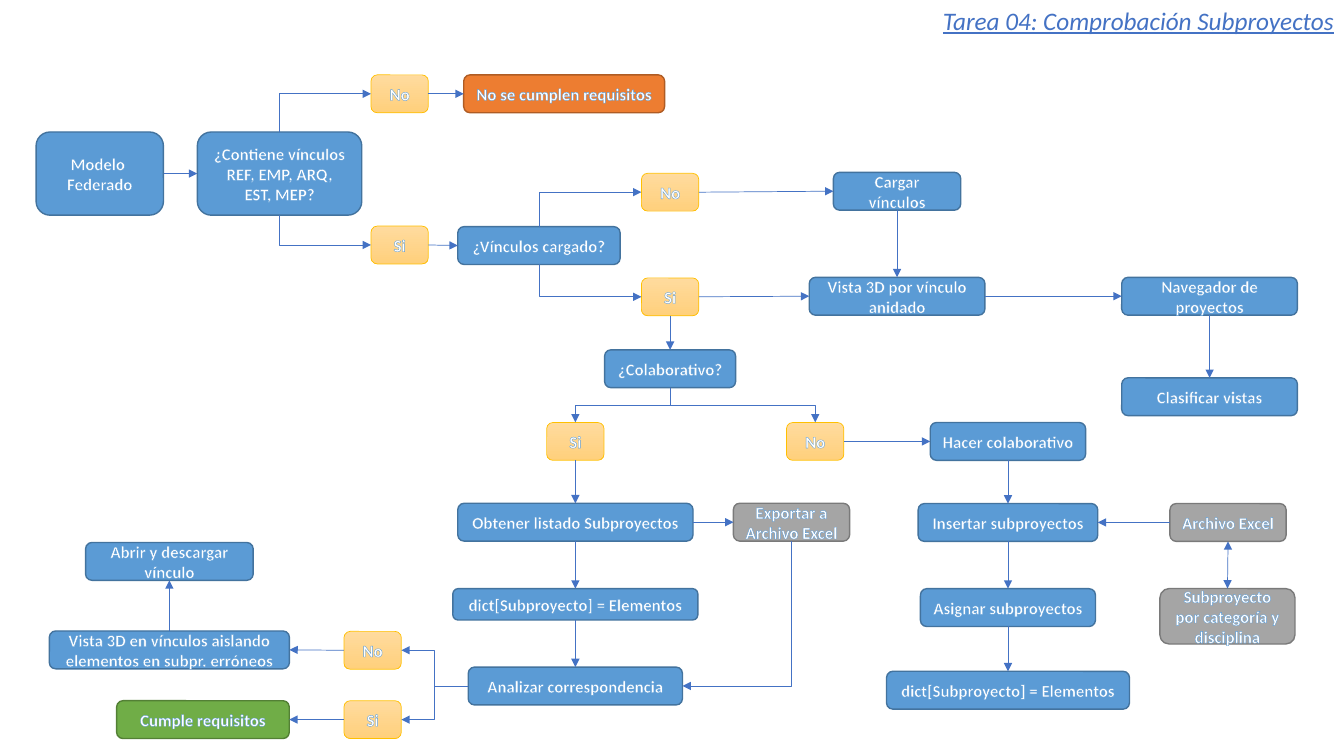
import pptx
import pptx.util
import pptx.dml.color
import pptx.enum.shapes
import pptx.enum.text
import pptx.oxml
import pptx.oxml.ns
import lxml.etree

Pt = pptx.util.Pt
qn = pptx.oxml.ns.qn

TITLE = "Tarea 04: Comprobación Subproyectos"
FONT = "Calibri"
ACCENT = "4472C4"
OUTLINE = "5B9BD5"
HEIGHT = 27
TOP, LEFT, BOTTOM, RIGHT = range(4)

STYLES = {
    "step": (["5B9BD5"], "43739E", 1),
    "answer": (["FFDB9E", "FFD07C"], "FFC000", 0.5),
    "file": (["A5A5A5"], "7A7A7A", 1),
    "fail": (["ED7D31"], "AF5C24", 1),
    "pass": (["70AD47"], "538035", 1),
}

# name: text, style, centre x, centre y, width, height
NODES = {
    "model": ("Modelo \nFederado", "step", 71.3, 124, 91, 59.4),
    "links": ("¿Contiene vínculos\nREF, EMP, ARQ, EST, MEP?", "step", 199.7, 124, 117.5, 59.4),
    "links no": ("No", "answer", 285.5, 67, 41, HEIGHT),
    "links yes": ("Si", "answer", 285.5, 175, 41, HEIGHT),
    "rejected": ("No se cumplen requisitos", "fail", 403, 67, 143.5, HEIGHT),
    "loaded": ("¿Vínculos cargado?", "step", 385, 175.4, 116, HEIGHT),
    "loaded no": ("No", "answer", 478.7, 137.3, 41, HEIGHT),
    "loaded yes": ("Si", "answer", 478.7, 212, 41, HEIGHT),
    "load": ("Cargar vínculos", "step", 640.8, 136.6, 91, HEIGHT),
    "view": ("Vista 3D por vínculo anidado", "step", 640.8, 211.6, 125.5, HEIGHT),
    "browser": ("Navegador de proyectos", "step", 864, 211.6, 125.5, HEIGHT),
    "sort": ("Clasificar vistas", "step", 864, 283.4, 125.5, HEIGHT),
    "shared": ("¿Colaborativo?", "step", 478.7, 263.4, 93.6, HEIGHT),
    "shared yes": ("Si", "answer", 411, 315.3, 41, HEIGHT),
    "shared no": ("No", "answer", 582.3, 315.3, 41, HEIGHT),
    "share": ("Hacer colaborativo", "step", 720, 315.3, 111, HEIGHT),
    "insert": ("Insertar subproyectos", "step", 720, 373.2, 128.3, HEIGHT),
    "assign": ("Asignar subproyectos", "step", 720, 434, 125, HEIGHT),
    "assigned": ("dict[Subproyecto] = Elementos", "step", 720, 493, 173.5, HEIGHT),
    "input": ("Archivo Excel", "file", 877.2, 373.2, 83, HEIGHT),
    "categories": ("Subproyecto por categoría y disciplina", "file", 876.8, 440.2, 96.5, 39.6),
    "list": ("Obtener listado Subproyectos", "step", 411, 373, 168, HEIGHT),
    "export": ("Exportar a Archivo Excel", "file", 565.4, 373, 83, HEIGHT),
    "elements": ("dict[Subproyecto] = Elementos", "step", 411, 431.7, 175, 22.4),
    "analyse": ("Analizar correspondencia", "step", 411, 490, 153, HEIGHT),
    "match no": ("No", "answer", 266.2, 464.5, 41, HEIGHT),
    "match yes": ("Si", "answer", 266.2, 514, 41, HEIGHT),
    "accepted": ("Cumple requisitos", "pass", 145, 514, 123.3, HEIGHT),
    "isolate": ("Vista 3D en vínculos aislando elementos en subpr. erróneos", "step", 121, 464.2, 171.5, HEIGHT),
    "download": ("Abrir y descargar vínculo", "step", 121, 401, 119.7, HEIGHT),
}

LINKS = [
    ("model", RIGHT, "links", LEFT),
    ("links", TOP, "links no", LEFT),
    ("links", BOTTOM, "links yes", LEFT),
    ("links no", RIGHT, "rejected", LEFT),
    ("links yes", RIGHT, "loaded", LEFT),
    ("loaded", TOP, "loaded no", LEFT),
    ("loaded", BOTTOM, "loaded yes", LEFT),
    ("loaded no", RIGHT, "load", LEFT),
    ("loaded yes", RIGHT, "view", LEFT),
    ("loaded yes", BOTTOM, "shared", TOP),
    ("load", BOTTOM, "view", TOP),
    ("view", RIGHT, "browser", LEFT),
    ("browser", BOTTOM, "sort", TOP),
    ("shared", BOTTOM, "shared yes", TOP),
    ("shared", BOTTOM, "shared no", TOP),
    ("shared no", RIGHT, "share", LEFT),
    ("share", BOTTOM, "insert", TOP),
    ("insert", BOTTOM, "assign", TOP),
    ("assign", BOTTOM, "assigned", TOP),
    ("input", LEFT, "insert", RIGHT),
    ("input", BOTTOM, "categories", TOP),
    ("shared yes", BOTTOM, "list", TOP),
    ("list", RIGHT, "export", LEFT),
    ("list", BOTTOM, "elements", TOP),
    ("elements", BOTTOM, "analyse", TOP),
    ("export", BOTTOM, "analyse", RIGHT),
    ("analyse", LEFT, "match no", RIGHT),
    ("analyse", LEFT, "match yes", RIGHT),
    ("match no", LEFT, "isolate", RIGHT),
    ("match yes", LEFT, "accepted", RIGHT),
    ("isolate", TOP, "download", BOTTOM),
]
TWO_WAY = {("input", "categories")}


def color(text):
    return pptx.dml.color.RGBColor.from_string(text)


def set_font(para, size, hue):
    para.font.name = FONT
    para.font.size = Pt(size)
    para.font.color.rgb = color(hue)


def outline_text(span):
    line = lxml.etree.Element(qn("a:ln"), w=str(int(Pt(0.8))))
    fill = lxml.etree.SubElement(line, qn("a:solidFill"))
    lxml.etree.SubElement(fill, qn("a:srgbClr"), val=OUTLINE)
    span.font._element.insert(0, line) if hasattr(span.font, "_element") else span._r.get_or_add_rPr().insert(0, line)


def add_node(text, style, x, y, width, height):
    fills, border, weight = STYLES[style]
    box = slide.shapes.add_shape(
        pptx.enum.shapes.MSO_SHAPE.ROUNDED_RECTANGLE,
        Pt(x - width / 2), Pt(y - height / 2), Pt(width), Pt(height))
    box.shadow.inherit = False
    if len(fills) == 1:
        box.fill.solid()
        box.fill.fore_color.rgb = color(fills[0])
    else:
        box.fill.gradient()
        box.fill.gradient_angle = 270
        for stop, hue in zip(box.fill.gradient_stops, fills):
            stop.color.rgb = color(hue)
    box.line.color.rgb = color(border)
    box.line.width = Pt(weight)
    box.text_frame.text = text
    box.text_frame.word_wrap = True
    box.text_frame.vertical_anchor = pptx.enum.text.MSO_ANCHOR.MIDDLE
    for para in box.text_frame.paragraphs:
        para.alignment = pptx.enum.text.PP_ALIGN.CENTER
        set_font(para, 12, "FFFFFF")
        para.font.bold = True
        for span in para.runs:
            outline_text(span)
    return box


def turn_elbow(line):
    dx, dy = line.end_x - line.begin_x, line.end_y - line.begin_y
    middle_x, middle_y = line.begin_x + dx // 2, line.begin_y + dy // 2
    line.width, line.height = abs(dy), abs(dx)
    line.left, line.top = middle_x - abs(dy) // 2, middle_y - abs(dx) // 2
    frame = line._element.spPr.find(qn("a:xfrm"))
    frame.set("rot", str((270 if dx > 0 and dy > 0 else 90) * 60000))
    frame.set("flipH", str(int(dx > 0)))
    frame.set("flipV", str(int(dy < 0)))


def add_link(source, start, target, end):
    kinds = pptx.enum.shapes.MSO_CONNECTOR
    line = slide.shapes.add_connector(kinds.ELBOW, 0, 0, 0, 0)
    line.begin_connect(boxes[source], start)
    line.end_connect(boxes[target], end)
    properties = line._element.spPr
    preset = properties.find(qn("a:prstGeom"))
    vertical = start in (TOP, BOTTOM)
    if min(line.width, line.height) < Pt(2):
        preset.set("prst", "straightConnector1")
    else:
        if vertical != (end in (TOP, BOTTOM)):
            preset.set("prst", "bentConnector2")
        if vertical:
            turn_elbow(line)
    line.line.color.rgb = color(ACCENT)
    line.line.width = Pt(0.5)
    stroke = properties.find(qn("a:ln"))
    ends = ["headEnd", "tailEnd"] if (source, target) in TWO_WAY else ["tailEnd"]
    for name in ends:
        lxml.etree.SubElement(stroke, qn("a:" + name), type="triangle")
    lxml.etree.SubElement(properties, qn("a:effectLst"))


deck = pptx.Presentation()
deck.slide_width, deck.slide_height = Pt(960), Pt(540)
slide = deck.slides.add_slide(deck.slide_layouts[6])

boxes = {name: add_node(*node) for name, node in NODES.items()}
for link in LINKS:
    add_link(*link)

heading = slide.shapes.add_textbox(Pt(625), 0, Pt(335), Pt(29))
heading.text_frame.word_wrap = True
heading.text_frame.text = TITLE
para = heading.text_frame.paragraphs[0]
para.alignment = pptx.enum.text.PP_ALIGN.RIGHT
set_font(para, 18, ACCENT)
para.font.italic = True
para.font.underline = True

deck.save("out.pptx")
